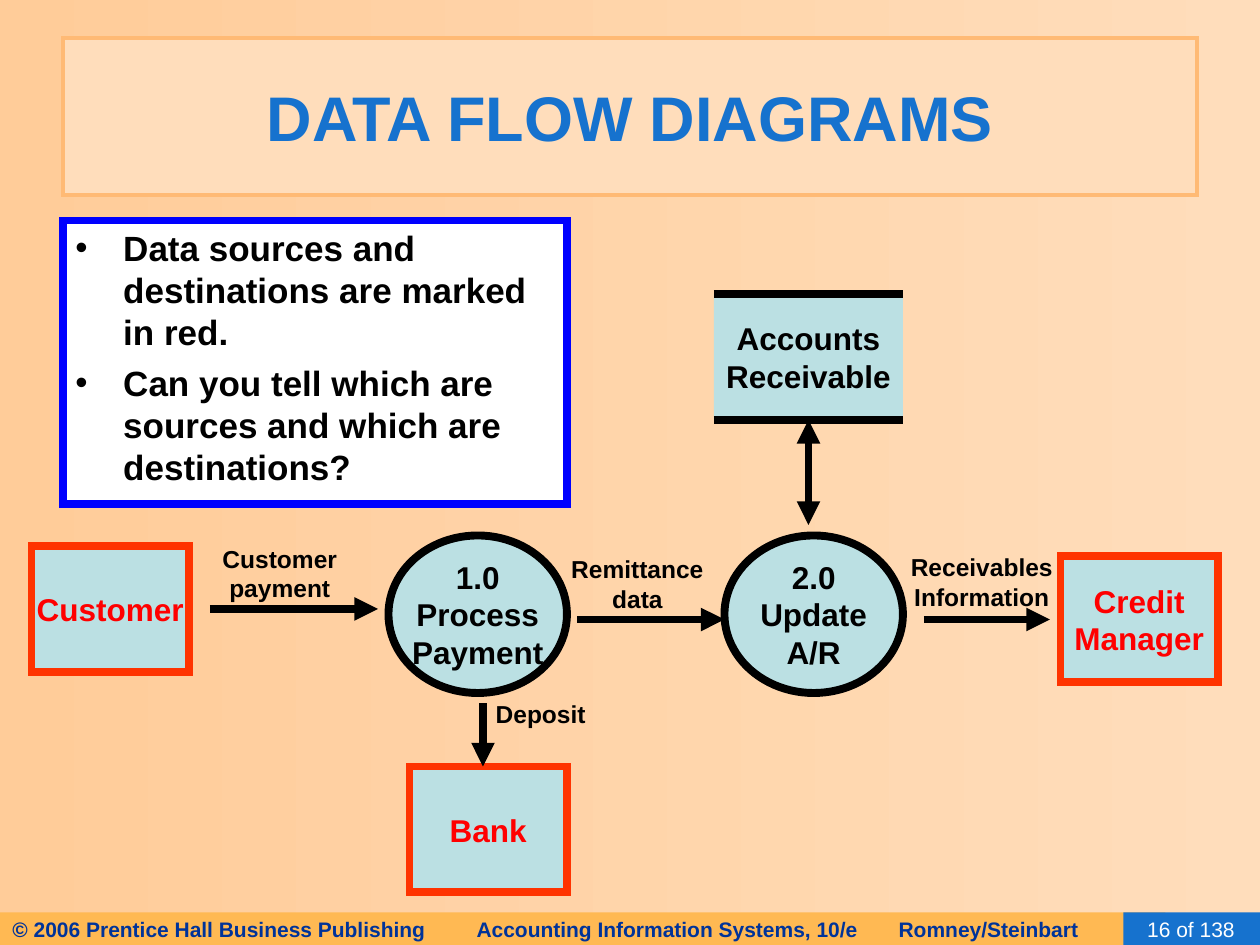
from lxml.etree import SubElement as Sub
from pptx import Presentation
from pptx.dml.color import RGBColor as Rgb
from pptx.enum.shapes import MSO_CONNECTOR as Conn, MSO_SHAPE as Kind
from pptx.enum.text import MSO_ANCHOR as Anchor, MSO_AUTO_SIZE as Fit, PP_ALIGN as Align
from pptx.oxml.ns import qn
from pptx.util import Inches, Pt

THEME = dict(
    font="Arial", black="000000", white="FFFFFF", pale="FFDDBB", peach="FFCC99",
    edge="FFBA75", gold="FFB953", blue="1672CE", navy="003399", frame="0000FF",
    aqua="BBE0E3", rust="FF3300", red="FF0000",
    head=36, list=20, node=18, label=14, foot=12, thick=4.5, thin=2.5)

WIDE, HIGH = 10, 7.5
COLS, ROWS = 120, 90

TITLE = "DATA FLOW DIAGRAMS"
NOTES = ["Data sources and destinations are marked in red.",
         "Can you tell which are sources and which are destinations?"]
FOOT = ["© 2006 Prentice Hall Business Publishing",
        "Accounting Information Systems, 10/e", "Romney/Steinbart"]
STOPS = [44.2, 84.4]
PAGE = "16 of 138"

ENDS = [(3, 52, ["Customer"]), (101, 53, ["Credit", "Manager"]), (39, 73, ["Bank"])]
STEPS = [(37, 51, ["1.0", "Process", "Payment"]), (69, 51, ["2.0", "Update", "A/R"])]
STORE = (68, 28, 18, 12, ["Accounts", "Receivable"])
FLOWS = [
    ((20, 58), (36, 58), False),
    ((55, 59), (69, 59), False),
    ((88, 59), (100, 59), False),
    ((77, 50), (77, 40), True),
    ((46, 67), (46, 73), False)]
LABELS = [
    (20, 51.2, 13.3, ["Customer", "payment"]),
    (53.2, 52.2, 15, ["Remittance", "data"]),
    (85.5, 52, 16, ["Receivables", "Information"]),
    (45.5, 66, 12, ["Deposit"])]

deck = Presentation()
deck.slide_width, deck.slide_height = Inches(WIDE), Inches(HIGH)
slide = deck.slides.add_slide(deck.slide_layouts[6])


def col(n):
    return Inches(n * WIDE / COLS)


def row(n):
    return Inches(n * HIGH / ROWS)


def tint(name):
    return Rgb.from_string(THEME[name])


def write(shape, lines, size="node", color="black", bold=True, align=Align.CENTER,
          anchor=Anchor.MIDDLE, wrap=True, fit=Fit.NONE, right=0.1, bullet=False,
          stops=()):
    frame = shape.text_frame
    frame.word_wrap, frame.vertical_anchor, frame.auto_size = wrap, anchor, fit
    frame.margin_right = Inches(right)
    for i, line in enumerate(lines):
        para = frame.paragraphs[0] if i == 0 else frame.add_paragraph()
        para.alignment = align
        props = para._p.get_or_add_pPr()
        if bullet:
            props.set("marL", str(Inches(0.38)))
            props.set("indent", str(-Inches(0.38)))
            if i:
                para.space_before = Pt(5)
            Sub(props, qn("a:buFont"), typeface=THEME["font"])
            Sub(props, qn("a:buChar"), char="•")
        if stops:
            tabs = Sub(props, qn("a:tabLst"))
            for stop in stops:
                Sub(tabs, qn("a:tab"), pos=str(col(stop)), algn="l")
        run = para.add_run()
        run.text = line
        font = run.font
        font.name, font.size, font.bold = THEME["font"], Pt(THEME[size]), bold
        font.color.rgb = tint(color)


def block(x, y, w, h, fill, edge=None, width="thick", kind=Kind.RECTANGLE, home=slide):
    shape = home.shapes.add_shape(kind, col(x), row(y), col(w), row(h))
    shape.shadow.inherit = False
    shape.fill.solid()
    shape.fill.fore_color.rgb = tint(fill)
    if edge:
        shape.line.color.rgb = tint(edge)
        shape.line.width = Pt(THEME[width])
        Sub(shape.line._get_or_add_ln(), qn("a:miter"), lim="800000")
    else:
        shape.line.fill.background()
    return shape


def link(start, end, tips=(), home=slide):
    (x, y), (u, v) = start, end
    line = home.shapes.add_connector(Conn.STRAIGHT, col(x), row(y), col(u), row(v))
    line.line.color.rgb = tint("black")
    line.line.width = Pt(THEME["thick"])
    for tip in tips:
        Sub(line.line._get_or_add_ln(), qn(tip), type="triangle")
    Sub(line._element.spPr, qn("a:effectLst"))


back = slide.background.fill
back.gradient()
back.gradient_angle = 180
for stop, name in zip(back.gradient_stops, ("pale", "peach")):
    stop.color.rgb = tint(name)

write(block(0, 86.9, 111, 3.1, "gold"), ["\t".join(FOOT)], size="foot", color="navy",
      align=Align.LEFT, stops=STOPS)
write(block(107, 86.9, 13, 3.1, "blue"), [PAGE], size="foot", color="white",
      bold=False, align=Align.RIGHT, right=0.2)
write(block(6, 3.6, 108, 15, "pale", "edge", "thin"), [TITLE], size="head", color="blue")

for x, y, text in ENDS:
    write(block(x, y, 15, 12, "aqua", "rust"), text, color="red", wrap=False)
for x, y, text in STEPS:
    write(block(x, y, 17, 15, "aqua", "black", kind=Kind.OVAL), text, wrap=False)

x, y, w, h, text = STORE
group = slide.shapes.add_group_shape()
write(block(x, y, w, h, "aqua", home=group), text, wrap=False)
for level in (y, y + h):
    link((x, level), (x + w, level), home=group)

for start, end, both in FLOWS:
    link(start, end, ("a:headEnd", "a:tailEnd") if both else ("a:tailEnd",))
for x, y, w, text in LABELS:
    box = slide.shapes.add_textbox(col(x), row(y), col(w), row(1.2 + 2.8 * len(text)))
    write(box, text, size="label", anchor=Anchor.TOP, wrap=False, fit=Fit.SHAPE_TO_FIT_TEXT)

write(block(6, 21, 48, 27, "white", "frame"), NOTES, size="list", align=Align.LEFT,
      anchor=Anchor.TOP, bullet=True)

deck.save("out.pptx")
